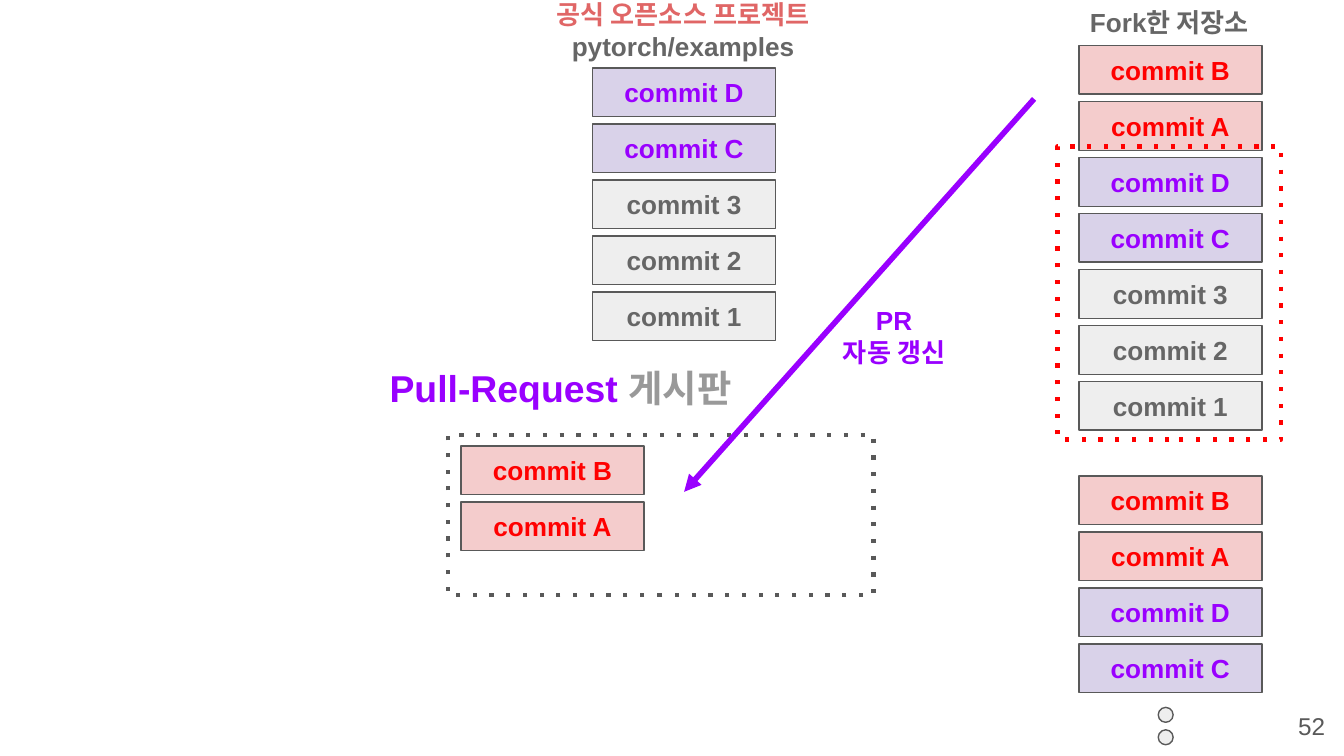
import pptx
import pptx.util
import pptx.dml.color
import pptx.enum.shapes
import pptx.enum.text
import pptx.oxml

Pt = pptx.util.Pt
Shape = pptx.enum.shapes.MSO_SHAPE
Align = pptx.enum.text.PP_ALIGN
Anchor = pptx.enum.text.MSO_ANCHOR
NS = 'xmlns:a="http://schemas.openxmlformats.org/drawingml/2006/main"'

GRAY, DARK, PALE = "666666", "595959", "EEEEEE"
RED, VIOLET = "FF0000", "9900FF"
WIDE, TALL, STEP = 98, 26, 30
BASE = [("commit 3", GRAY, PALE), ("commit 2", GRAY, PALE), ("commit 1", GRAY, PALE)]
MAIN = [("commit D", VIOLET, "D9D2E9"), ("commit C", VIOLET, "D9D2E9")]
FORK = [("commit B", RED, "F4CCCC"), ("commit A", RED, "F4CCCC")]


def color(code):
    return pptx.dml.color.RGBColor.from_string(code)


def put(item, values):
    for name, value in values.items():
        setattr(item, name, value)


def write(item, lines, size=14, bold=True, align=Align.CENTER, anchor=Anchor.TOP):
    frame = item.text_frame
    sides = ("left", "top", "right", "bottom")
    put(frame, {f"margin_{side}": Pt(7.2) for side in sides})
    put(frame, {"word_wrap": True, "vertical_anchor": anchor,
                "auto_size": pptx.enum.text.MSO_AUTO_SIZE.NONE})
    for row, runs in enumerate(lines):
        para = frame.add_paragraph() if row else frame.paragraphs[0]
        put(para, {"alignment": align, "space_before": Pt(0)})
        for text, code in runs:
            run = para.add_run()
            run.text = text
            put(run.font, {"name": "Arial", "size": Pt(size), "bold": bold})
            run.font.color.rgb = color(code)


def label(slide, box, lines, **style):
    write(slide.shapes.add_textbox(*map(Pt, box)), lines, **style)


def block(slide, box, fill=None, line=DARK, width=0.75, kind=Shape.RECTANGLE):
    item = slide.shapes.add_shape(kind, *map(Pt, box))
    item.shadow.inherit = False
    if fill:
        item.fill.solid()
        item.fill.fore_color.rgb = color(fill)
    else:
        item.fill.background()
    item.line.color.rgb = color(line)
    item.line.width = Pt(width)
    return item


def dotted(slide, box, line):
    item = block(slide, box, line=line, width=2.25)
    dash = pptx.oxml.parse_xml(f'<a:prstDash {NS} val="dot"/>')
    item.line.fill._xPr.append(dash)


def stack(slide, left, top, rows):
    for row, (text, ink, fill) in enumerate(rows):
        item = block(slide, (left, top + row * STEP, WIDE, TALL), fill)
        write(item, [[(text, ink)]], anchor=Anchor.MIDDLE)


def source(slide, left, top):
    label(slide, (left, top, 228, 26),
          [[("공식 오픈소스 프로젝트", "E06666")], [("pytorch/examples", GRAY)]])
    stack(slide, left + 65.5, top + 44.5, MAIN + BASE)


def fork(slide, left, top):
    label(slide, (left, top, 228, 26), [[("Fork한 저장소", GRAY)]])
    stack(slide, left + 65.5, top + 28.5, FORK + MAIN + BASE)
    dotted(slide, (left + 54, top + 82.5, 120, 157), RED)
    stack(slide, left + 65.5, top + 259, FORK + MAIN)
    for row in range(2):
        block(slide, (left + 108, top + 383 + row * 12, 8, 8), PALE, kind=Shape.OVAL)


def board(slide, left, top):
    title = slide.shapes.title
    box = (left, top, 365, 37.5)
    put(title, dict(zip(("left", "top", "width", "height"), map(Pt, box))))
    write(title, [[("Pull-Request ", VIOLET), ("게시판", "999999")]],
          size=20, align=Align.LEFT)
    dotted(slide, (left + 38.5, top + 44.5, 228, 86), DARK)
    stack(slide, left + 45.5, top + 50.5, FORK)


def update(slide, left, top):
    ends = (left + 187.5, top, left, top + 210.5)
    arrow = slide.shapes.add_connector(
        pptx.enum.shapes.MSO_CONNECTOR.STRAIGHT, *map(Pt, ends))
    arrow.line.color.rgb = color(VIOLET)
    arrow.line.width = Pt(3)
    arrow.line.fill._xPr.append(
        pptx.oxml.parse_xml(f'<a:tailEnd {NS} type="triangle"/>'))
    arrow._element.spPr.append(pptx.oxml.parse_xml(f"<a:effectLst {NS}/>"))
    label(slide, (left + 73, top + 103, 79, 45),
          [[("PR", VIOLET)], [("자동 갱신", VIOLET)]])


def main():
    deck = pptx.Presentation()
    put(deck, {"slide_width": Pt(720), "slide_height": Pt(405)})
    slide = deck.slides.add_slide(deck.slide_layouts[5])
    source(slide, 252, -8)
    fork(slide, 512.5, -4)
    board(slide, 201.5, 188.5)
    update(slide, 366.5, 53)
    label(slide, (674, 374, 43, 31), [[("52", DARK)]],
          size=13, bold=False, align=Align.RIGHT)
    deck.save("out.pptx")


if __name__ == "__main__":
    main()
